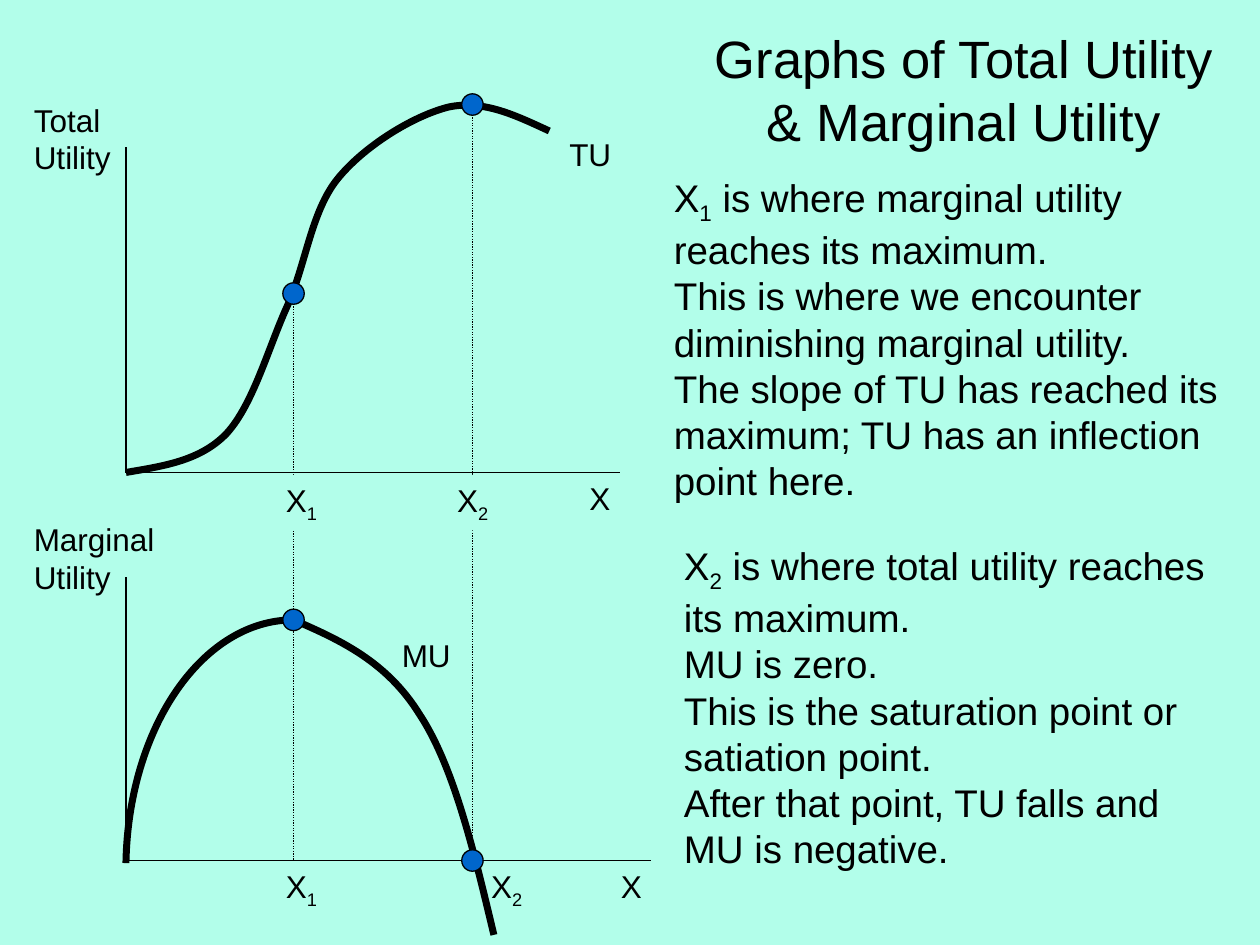
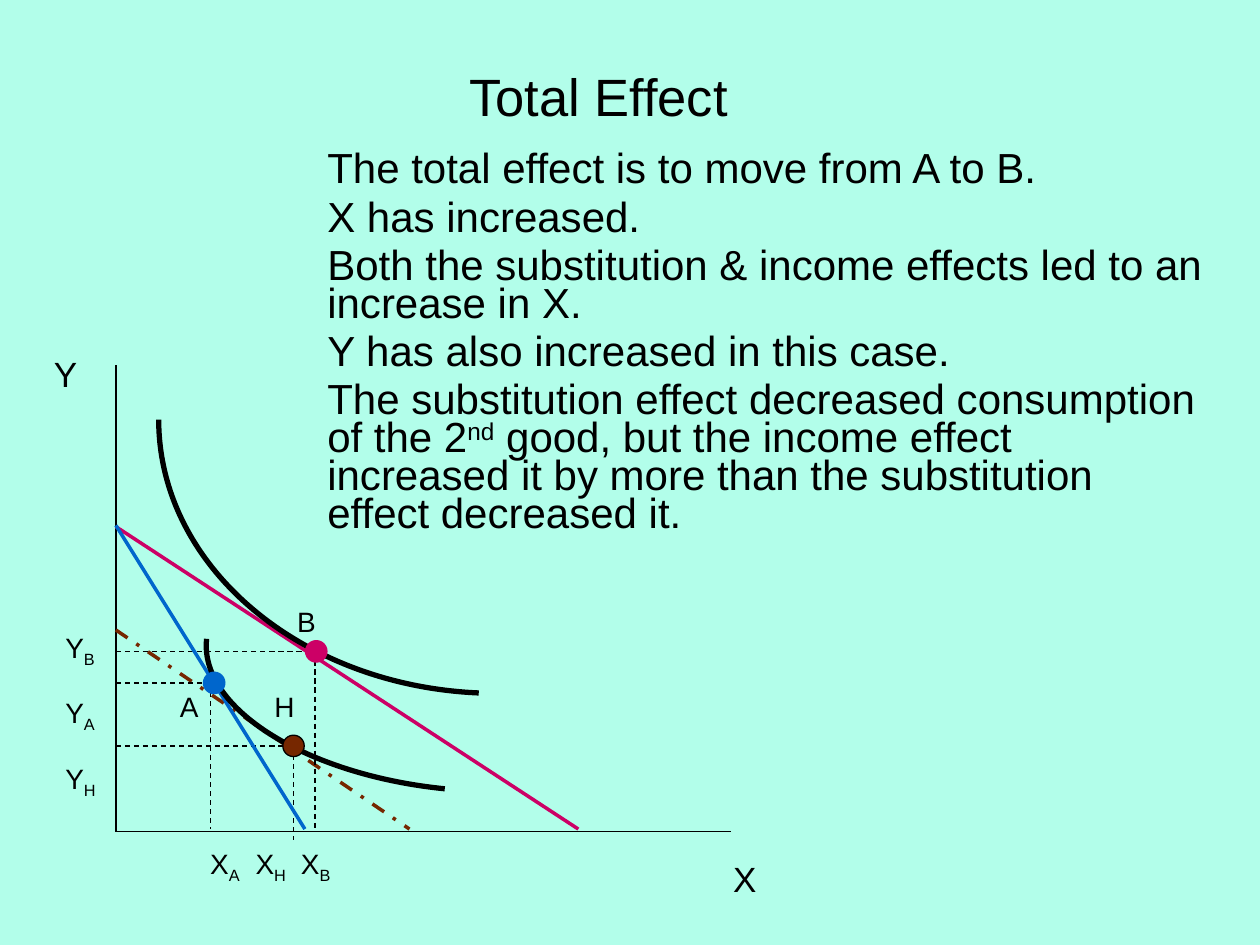
import pptx
import pptx.dml.color
import pptx.enum.dml
import pptx.enum.shapes
import pptx.enum.text
import pptx.oxml.ns
import pptx.util
from lxml import etree

Inches, Pt, qn = pptx.util.Inches, pptx.util.Pt, pptx.oxml.ns.qn
DASH = pptx.enum.dml.MSO_LINE
ALIGN = pptx.enum.text.PP_ALIGN
ANCHOR = pptx.enum.text.MSO_ANCHOR

FONT = "Arial"
BLACK, MINT = "000000", "B2FEEA"
BLUE, PINK, BROWN = "0066CC", "CC0066", "762700"
SUB, SUPER = -25000, 30000
DOT_SIZE = 0.17


def rgb(color):
    return pptx.dml.color.RGBColor.from_string(color)


def fill_text(tf, paragraphs, size, shift=SUB, before=0, spacing=None,
              tabs=(), align=ALIGN.LEFT):
    """Write paragraphs; every second part between bars is raised or lowered."""
    tf.word_wrap = True
    tf.auto_size = pptx.enum.text.MSO_AUTO_SIZE.NONE
    for i, text in enumerate(paragraphs):
        p = tf.add_paragraph() if i else tf.paragraphs[0]
        p.alignment = align
        if i and before:
            p.space_before = Pt(before)
        if spacing:
            p.line_spacing = spacing
        if tabs:
            tab_list = etree.SubElement(p._p.get_or_add_pPr(), qn("a:tabLst"))
            for tab in tabs:
                etree.SubElement(tab_list, qn("a:tab"), pos=str(Inches(tab)), algn="l")
        p.font.name, p.font.size = FONT, Pt(size)
        p.font.color.rgb = rgb(BLACK)
        for j, part in enumerate(text.split("|")):
            if part:
                r = p.add_run()
                r.text = part
                if j % 2:
                    r.font._element.set("baseline", str(shift))


def add_text(s, box, paragraphs, size, fill=None, **style):
    tb = s.shapes.add_textbox(*map(Inches, box))
    if fill:
        tb.fill.solid()
        tb.fill.fore_color.rgb = rgb(fill)
    fill_text(tb.text_frame, paragraphs, size, **style)


def add_slide(prs, title, box, anchor):
    s = prs.slides.add_slide(prs.slide_layouts[5])
    sp = s.shapes.title
    sp.left, sp.top, sp.width, sp.height = map(Inches, box)
    sp.text_frame.vertical_anchor = anchor
    fill_text(sp.text_frame, [title], 30, align=ALIGN.CENTER)
    return s


def bend(sp):
    """Turn each three line segments of a freeform into one cubic curve."""
    segments = list(sp._element.iter(qn("a:lnTo")))
    for i in range(0, len(segments), 3):
        curve = etree.Element(qn("a:cubicBezTo"))
        segments[i].addprevious(curve)
        for segment in segments[i:i + 3]:
            curve.append(segment[0])
            segment.getparent().remove(segment)


class Plot:
    """Axes at an origin on a slide; x runs right and y runs up, in inches."""

    def __init__(self, s, left, base, width, height):
        self.s, self.left, self.base = s, left, base
        self.line((0, height), (0, 0))
        self.line((0, 0), (width, 0))

    def at(self, point):
        return Inches(self.left + point[0]), Inches(self.base - point[1])

    def line(self, start, end, color=BLACK, width=0.75, dash=None):
        c = self.s.shapes.add_connector(pptx.enum.shapes.MSO_CONNECTOR.STRAIGHT,
                                        *self.at(start), *self.at(end))
        c.line.color.rgb, c.line.width = rgb(color), Pt(width)
        if dash:
            c.line.dash_style = dash
        etree.SubElement(c._element.spPr, qn("a:effectLst"))

    def curve(self, points, width):
        """Draw joined cubic curves: a start, then three points for each curve."""
        start, *others = map(self.at, points)
        builder = self.s.shapes.build_freeform(*start)
        builder.add_line_segments(others, close=False)
        sp = builder.convert_to_shape()
        bend(sp)
        sp.shadow.inherit = False
        sp.fill.background()
        sp.line.color.rgb, sp.line.width = rgb(BLACK), Pt(width)

    def dot(self, x, y, fill=BLUE, outline=BLACK):
        corner = self.at((x - DOT_SIZE / 2, y + DOT_SIZE / 2))
        sp = self.s.shapes.add_shape(pptx.enum.shapes.MSO_SHAPE.OVAL, *corner,
                                     Inches(DOT_SIZE), Inches(DOT_SIZE))
        sp.shadow.inherit = False
        sp.fill.solid()
        sp.fill.fore_color.rgb = rgb(fill)
        sp.line.color.rgb, sp.line.width = rgb(outline), Pt(0.75)

    def label(self, x, y, width, height, text, size, **style):
        paragraphs = [text] if isinstance(text, str) else text
        add_text(self.s, (self.left + x, self.base - y, width, height),
                 paragraphs, size, **style)


X1, X2 = 1.33, 2.75


def total_utility_plot(s, left, base, guide_depth):
    plot = Plot(s, left, base, 3.92, 2.58)
    peaks = ((X1, 1.42), (X2, 2.92))
    for x, y in peaks:
        plot.line((x, y), (x, -guide_depth), dash=DASH.ROUND_DOT)
    plot.curve([(0, 0), (0.29, 0.05), (0.59, 0.09), (0.8, 0.31),
                (1.01, 0.54), (1.13, 0.99), (1.28, 1.32),
                (1.43, 1.66), (1.47, 2.07), (1.68, 2.33),
                (1.89, 2.59), (2.28, 2.83), (2.56, 2.9),
                (2.84, 2.96), (3.1, 2.83), (3.36, 2.71)], 4)
    plot.label(1.17, -0.02, 2, 0.44, "X|1|\tX|2", 18, fill=MINT, tabs=[1.36])
    plot.label(3.58, 0, 0.42, 0.4, "X", 18)
    plot.label(-0.83, 3, 0.83, 0.7, "Total Utility", 18)
    plot.label(3.42, 2.73, 0.53, 0.4, "TU", 18)
    for x, y in peaks:
        plot.dot(x, y)


def marginal_utility_plot(s, left, base):
    plot = Plot(s, left, base, 4.17, 2.25)
    plot.curve([(X1, 1.91), (0.61, 1.91), (0.02, 1.06), (0, -0.02)], 4)
    plot.curve([(X1, 1.91), (1.7, 1.75), (2.07, 1.58), (2.33, 1.16),
                (2.6, 0.75), (2.76, 0.08), (2.92, -0.59)], 4)
    plot.label(1.17, 0, 2.25, 0.44, "X|1|\tX|2", 18, tabs=[1.63])
    plot.label(3.83, 0, 0.42, 0.4, "X", 18)
    plot.label(-0.83, 2.75, 1.17, 0.7, "Marginal Utility", 18)
    plot.label(2.09, 1.83, 0.59, 0.4, "MU", 18)
    plot.dot(X1, 1.91)
    plot.dot(X2, 0)


def utility_slide(prs):
    s = add_slide(prs, "Graphs of Total Utility & Marginal Utility",
                  (5.38, 0.16, 4.54, 1.1), ANCHOR.TOP)
    total_base, marginal_base = 3.75, 6.83
    total_utility_plot(s, 1, total_base, marginal_base - total_base)
    marginal_utility_plot(s, 1, marginal_base)
    add_text(s, (5.33, 4.25, 4.42, 2.72), [
        "X|2| is where total utility reaches its maximum.",
        "MU is zero.",
        "This is the saturation point or satiation point.",
        "After that point, TU falls and MU is negative."], 22)
    add_text(s, (5.25, 1.33, 4.67, 2.72), [
        "X|1| is where marginal utility reaches its maximum.",
        "This is where we encounter diminishing marginal utility.",
        "The slope of TU has reached its maximum; TU has an inflection point here."], 22)


def indifference_plot(s, left, base):
    plot = Plot(s, left, base, 4.88, 3.7)
    # name, dot x, dot y, guide x, guide foot, fill, outline, label x, label y
    bundles = [("B", 1.59, 1.43, 1.58, 0.02, PINK, PINK, 1.34, 1.85),
               ("H", 1.41, 0.68, 1.41, -0.07, BROWN, BLACK, 1.16, 1.18),
               ("A", 0.78, 1.18, 0.75, 0.02, BLUE, BLUE, 0.41, 1.18)]
    plot.line((0, 2.42), (3.67, 0.02), PINK, 2)
    plot.curve([(2.88, 1.1), (1.46, 1.16), (0.34, 2.11), (0.34, 3.27)], 3)
    plot.line((0, 1.6), (2.33, 0.02), BROWN, 2, DASH.DASH_DOT)
    for name, x, y, guide_x, foot, fill, outline, label_x, label_y in bundles:
        plot.line((0, y), (x, y), dash=DASH.DASH)
        plot.line((guide_x, y), (guide_x, foot), dash=DASH.DASH)
        plot.label(label_x, label_y, 0.42, 0.37, name, 16)
    plot.line((0, 2.43), (1.5, 0.02), BLUE, 2)
    plot.curve([(2.61, 0.34), (1.51, 0.45), (0.66, 0.98), (0.72, 1.53)], 3)
    for name, x, y, guide_x, foot, fill, outline, label_x, label_y in bundles:
        plot.dot(x, y, fill, outline)
    plot.label(4.8, -0.16, 0.37, 0.44, "X", 20)
    plot.label(-0.59, 3.85, 0.37, 0.44, "Y", 20)
    plot.label(-0.5, 1.72, 0.5, 1.52, ["Y|B", "Y|A", "Y|H"], 16, before=10, spacing=1.25)
    plot.label(0.65, -0.07, 1.43, 0.41, "X|A|\tX|H|\tX|B", 16, tabs=[0.36, 0.72])


def total_effect_slide(prs):
    s = add_slide(prs, "Total Effect", (0, 0.41, 9.5, 0.7), ANCHOR.MIDDLE)
    indifference_plot(s, 0.92, 6.6)
    add_text(s, (2.5, 1.17, 7.16, 3.42), [
        "The total effect is to move from A to B.",
        "X has increased.",
        "Both the substitution & income effects led to an increase in X.",
        "Y has also increased in this case.",
        "The substitution effect decreased consumption of the 2|nd| good, but the income "
        "effect increased it by more than the substitution effect decreased it."],
        24, shift=SUPER, before=6, spacing=0.75)


def main():
    prs = pptx.Presentation()
    prs.slide_width, prs.slide_height = Inches(10), Inches(7.5)
    background = prs.slide_master.background.fill
    background.solid()
    background.fore_color.rgb = rgb(MINT)
    utility_slide(prs)
    total_effect_slide(prs)
    prs.save("out.pptx")


if __name__ == "__main__":
    main()
